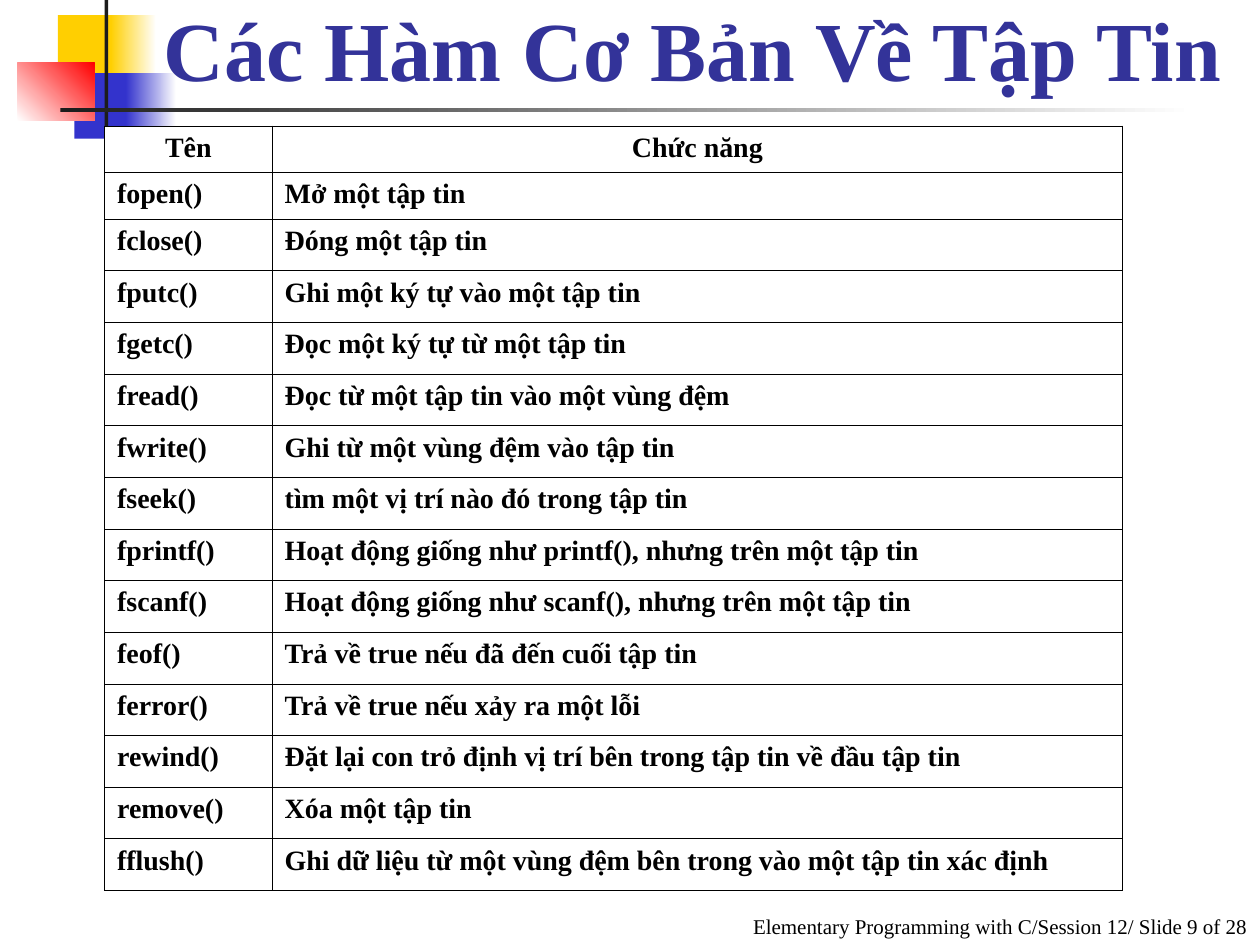
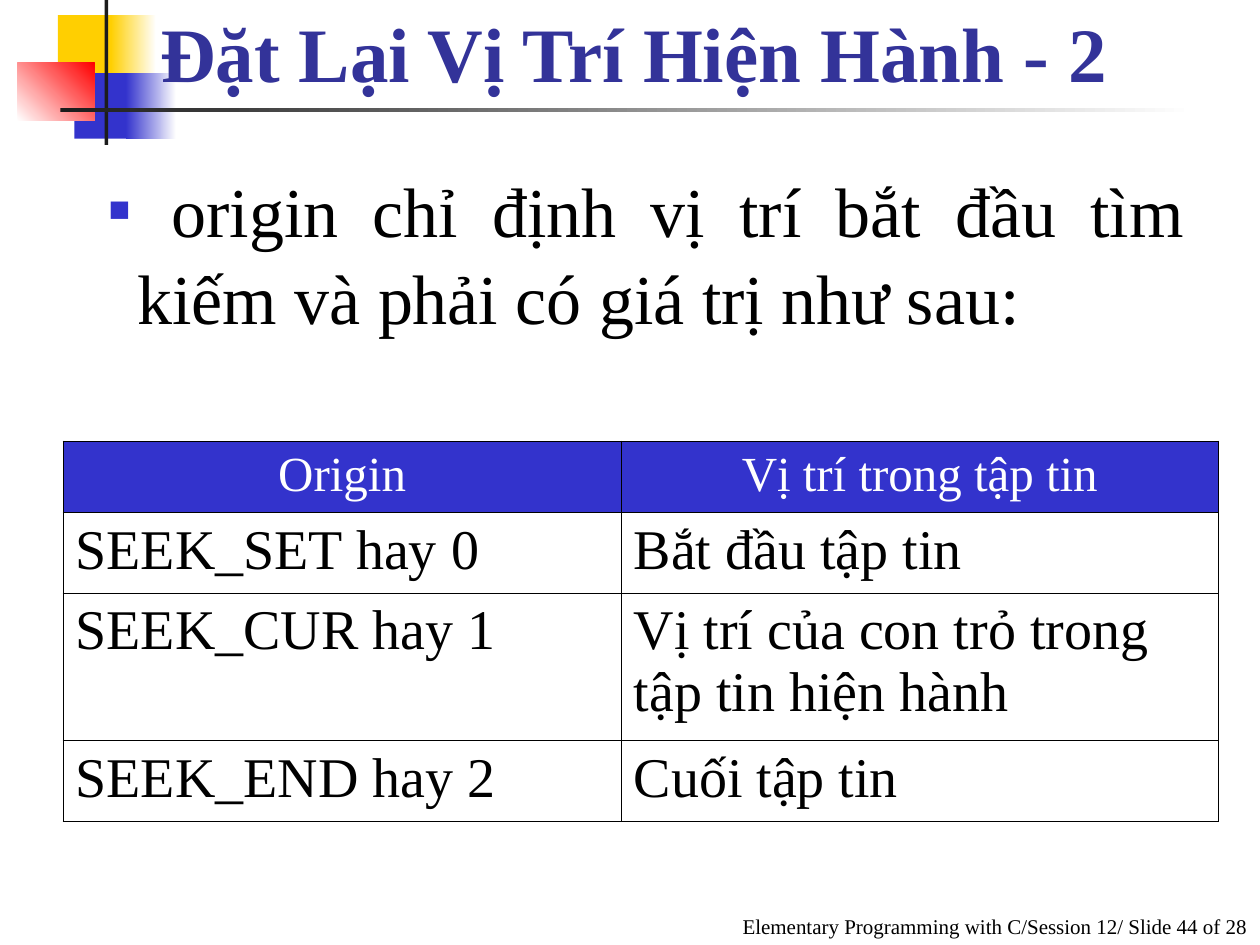
from lxml import etree
from pptx import Presentation
from pptx import util as u
from pptx.dml import color
from pptx.enum import shapes, text
from pptx.oxml import ns

RGB = color.RGBColor
BLACK, WHITE = RGB(0, 0, 0), RGB(255, 255, 255)
NAVY, BLUE = RGB(0x33, 0x33, 0x99), RGB(0x33, 0x33, 0xCC)
GOLD, RED = RGB(0xFF, 0xCF, 0x01), RGB(0xFF, 0, 0)
COAL = RGB(0x1C, 0x1C, 0x1C)
FONT = "Times New Roman"
LEFT, MID = text.PP_ALIGN.LEFT, text.PP_ALIGN.CENTER
RIGHT, FULL = text.PP_ALIGN.RIGHT, text.PP_ALIGN.JUSTIFY

# Master band: left, top, width, height, first colour, last colour, angle
BAND = [
    (0.46, 0.12, 0.48, 0.52, GOLD, None, 0),
    (0.88, 0.12, 0.36, 0.52, GOLD, WHITE, 0),
    (0.59, 0.58, 0.46, 0.52, BLUE, None, 0),
    (1, 0.58, 0.4, 0.52, BLUE, WHITE, 0),
    (0.14, 0.5, 0.61, 0.46, WHITE, RED, 45),
    (0.83, 0, 0.03, 1.15, COAL, None, 0),
    (0.48, 0.86, 9, 0.03, COAL, WHITE, 0),
]
FOOT = "Elementary Programming with C/Session 12/ Slide {} of 28"

FUNCS = [
    ("Tên", "Chức năng"),
    ("fopen()", "Mở một tập tin"),
    ("fclose()", "Đóng một tập tin"),
    ("fputc()", "Ghi một ký tự vào một tập tin"),
    ("fgetc()", "Đọc một ký tự từ một tập tin"),
    ("fread()", "Đọc từ một tập tin vào một vùng đệm"),
    ("fwrite()", "Ghi từ một vùng đệm vào tập tin"),
    ("fseek()", "tìm một vị trí nào đó trong tập tin"),
    ("fprintf()", "Hoạt động giống như printf(), nhưng trên một tập tin"),
    ("fscanf()", "Hoạt động giống như scanf(), nhưng trên một tập tin"),
    ("feof()", "Trả về true nếu đã đến cuối tập tin"),
    ("ferror()", "Trả về true nếu xảy ra một lỗi"),
    ("rewind()", "Đặt lại con trỏ định vị trí bên trong tập tin về đầu tập tin"),
    ("remove()", "Xóa một tập tin"),
    ("fflush()", "Ghi dữ liệu từ một vùng đệm bên trong vào một tập tin xác định"),
]
SEEKS = [
    ("Origin", "Vị trí trong tập tin"),
    ("SEEK_SET hay 0", "Bắt đầu tập tin"),
    ("SEEK_CUR hay 1", "Vị trí của con trỏ trong tập tin hiện hành"),
    ("SEEK_END hay 2", "Cuối tập tin"),
]
SLIDES = [
    dict(layout=5, num=9, title="Các Hàm Cơ Bản Về Tập Tin", size=48,
         box=(1.2, 0, 8.8, 0.83), body=None,
         grid=dict(data=FUNCS, at=(0.83, 1), cols=(1.33, 6.75),
                   rows=[0.37] * 2 + [0.41] * 13,
                   head=dict(size=16, bold=True, align=MID, fill=WHITE),
                   rest=dict(size=16, bold=True, align=FULL, fill=WHITE))),
    dict(layout=1, num=44, title="Đặt Lại Vị Trí Hiện Hành - 2", size=44,
         box=(1.17, 0, 8.04, 0.83),
         body=" origin chỉ định vị trí bắt đầu tìm kiếm và phải có giá trị như sau:",
         grid=dict(data=SEEKS, at=(0.5, 3.5), cols=(4.43, 4.74),
                   rows=(0.57, 0.64, 1.17, 0.64),
                   head=dict(size=28, ink=WHITE, align=MID, fill=BLUE, gap=7),
                   rest=dict(size=32, align=LEFT, gap=8))),
]


def assign(obj, vals):
    """Set each attribute named in a dict."""
    for name, val in vals.items():
        setattr(obj, name, val)


def place(shape, box):
    """Move and size a shape, in inches."""
    assign(shape, dict(zip(("left", "top", "width", "height"), map(u.Inches, box))))


def write(frame, words, size, ink=BLACK, bold=False, align=LEFT, gap=0):
    """Fill a text frame with one formatted paragraph."""
    frame.text = words
    para = frame.paragraphs[0]
    assign(para, dict(alignment=align, space_before=u.Pt(gap)))
    assign(para.runs[0].font, dict(name=FONT, size=u.Pt(size), bold=bold))
    para.runs[0].font.color.rgb = ink
    return para


def tag(parent, name, **vals):
    """Append a drawing element with attributes."""
    return etree.SubElement(parent, ns.qn("a:" + name), vals)


def paint(fill, ink):
    """Give a solid fill, or none."""
    if ink is None:
        fill.background()
    else:
        fill.solid()
        fill.fore_color.rgb = ink


def add_band(master, slide):
    """Draw the corner blocks and rules, then move them to the master."""
    for i, (*box, first, last, angle) in enumerate(BAND):
        block = slide.shapes.add_shape(shapes.MSO_SHAPE.RECTANGLE, 0, 0, 0, 0)
        place(block, box)
        block.shadow.inherit = False
        block.line.fill.background()
        if last is None:
            paint(block.fill, first)
        else:
            block.fill.gradient()
            block.fill.gradient_angle = angle
            for stop, ink, pos in zip(block.fill.gradient_stops, (first, last), (0, 1)):
                stop.color.rgb = ink
                stop.position = pos
        block.element.xpath(".//p:cNvPr")[0].set("id", str(100 + i))
        master.shapes.element.append(block.element)


def edge(cell):
    """Draw thin black borders round a cell."""
    props = cell._tc.get_or_add_tcPr()
    for i, side in enumerate(("lnL", "lnR", "lnT", "lnB")):
        line = tag(props, side, w=str(u.Pt(0.45)))
        tag(tag(line, "solidFill"), "srgbClr", val=str(BLACK))
        props.insert(i, line)


def add_grid(slide, data, at, cols, rows, head, rest):
    """Add a table with a head row style and a style for the rest."""
    box = (*at, sum(cols), sum(rows))
    table = slide.shapes.add_table(len(rows), len(cols), *map(u.Inches, box)).table
    assign(table, dict(first_row=False, horz_banding=False))
    for col, width in zip(table.columns, cols):
        col.width = u.Inches(width)
    for r, (row, high) in enumerate(zip(table.rows, rows)):
        row.height = u.Inches(high)
        style = dict(rest if r else head)
        fill = style.pop("fill", None)
        for cell, words in zip(row.cells, data[r]):
            write(cell.text_frame, words, **style)
            paint(cell.fill, fill)
            edge(cell)


def add_body(slide, words):
    """Put the bulleted text in the body placeholder."""
    body = slide.placeholders[1]
    place(body, (0.75, 1.25, 8.75, 1.44))
    para = write(body.text_frame, words, 40, align=FULL)
    para.line_spacing = 1.04
    body.text_frame.auto_size = text.MSO_AUTO_SIZE.SHAPE_TO_FIT_TEXT
    props = para._p.get_or_add_pPr()
    props.set("marL", str(u.Inches(0.24)))
    props.set("indent", str(u.Inches(-0.24)))
    tag(tag(props, "buClr"), "srgbClr", val=str(BLUE))
    tag(props, "buFont", typeface=FONT)
    tag(props, "buChar", char="▪")


def add_foot(slide, num):
    """Add the footer line at the lower right."""
    foot = slide.shapes.add_textbox(0, 0, 0, 0)
    place(foot, (3.92, 7, 6.08, 0.5))
    assign(foot.text_frame, dict(word_wrap=True, vertical_anchor=text.MSO_ANCHOR.BOTTOM))
    write(foot.text_frame, FOOT.format(num), 12, align=RIGHT)


def add_title(slide, words, size, box):
    """Fill and place the title."""
    title = slide.shapes.title
    place(title, box)
    assign(title.text_frame, dict(word_wrap=True, auto_size=text.MSO_AUTO_SIZE.NONE,
                                  vertical_anchor=text.MSO_ANCHOR.BOTTOM))
    write(title.text_frame, words, size, ink=NAVY, bold=True)


def main():
    """Build and save the slides."""
    deck = Presentation()
    assign(deck, dict(slide_width=u.Inches(10), slide_height=u.Inches(7.5)))
    for i, item in enumerate(SLIDES):
        slide = deck.slides.add_slide(deck.slide_layouts[item["layout"]])
        if i == 0:
            add_band(deck.slide_master, slide)
        add_title(slide, item["title"], item["size"], item["box"])
        if item["body"]:
            add_body(slide, item["body"])
        add_grid(slide, **item["grid"])
        add_foot(slide, item["num"])
    deck.save("out.pptx")


main()
